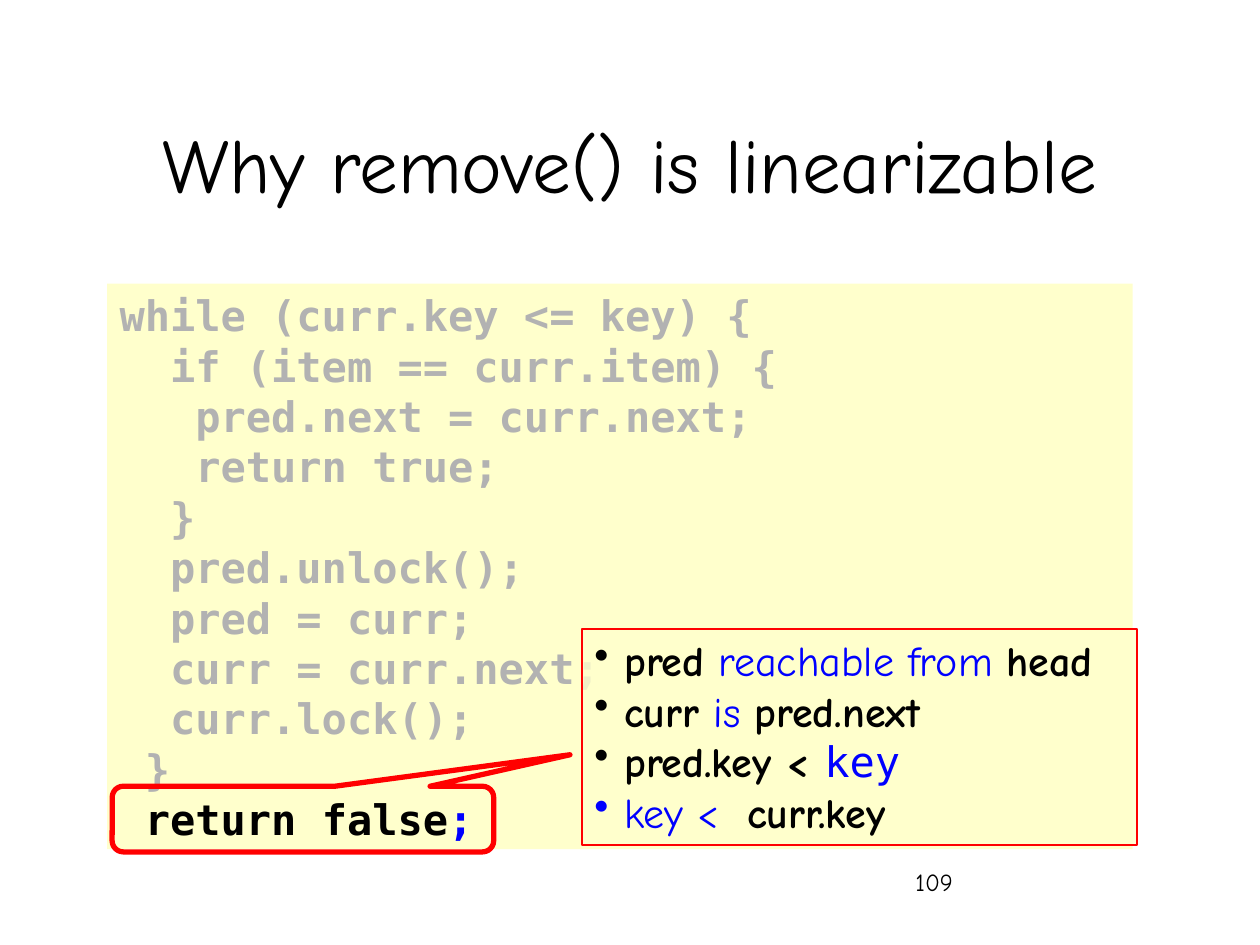
from lxml import etree
from pptx import Presentation
from pptx.dml.color import RGBColor
from pptx.enum.shapes import MSO_SHAPE
from pptx.enum.text import MSO_ANCHOR, PP_ALIGN
from pptx.oxml.ns import qn
from pptx.util import Pt

RECT = MSO_SHAPE.RECTANGLE
CALLOUT = MSO_SHAPE.ROUNDED_RECTANGULAR_CALLOUT
TOP, MIDDLE = MSO_ANCHOR.TOP, MSO_ANCHOR.MIDDLE
LEFT, CENTER = PP_ALIGN.LEFT, PP_ALIGN.CENTER

BLACK = RGBColor(0x00, 0x00, 0x00)
GRAY = RGBColor(0xB2, 0xB2, 0xB2)
BLUE = RGBColor(0x00, 0x00, 0xFF)
RED = RGBColor(0xFF, 0x00, 0x00)
CREAM = RGBColor(0xFF, 0xFF, 0xCC)

HAND = "Comic Neue"
MONO = "DejaVu Sans Mono"
LINE_HEIGHT = 28.8
INDENT = 17

CODE = [
    "while (curr.key <= key) {",
    "  if (item == curr.item) {",
    "   pred.next = curr.next;",
    "   return true;",
    "  }",
    "  pred.unlock();",
    "  pred = curr;",
    "  curr = curr.next;",
    "  curr.lock();",
    " }",
]
RETURN_LINE = [(" ", BLUE), ("return false", BLACK), (";", BLUE)]

# Each fact is a list of (text, is a variable, font)
FACTS = [
    [("pred", True, HAND), (" reachable from ", False, HAND), ("head", True, HAND)],
    [("curr", True, HAND), (" is ", False, HAND), ("pred.next", True, HAND)],
    [("pred.key < ", True, HAND), ("key", False, MONO)],
    [("key <  ", False, HAND), ("curr.key", True, HAND)],
]


def style(font, name, size, color, bold=False):
    font.name, font.size, font.bold = name, Pt(size), bold
    font.color.rgb = color


def add_run(p, text, name, color, bold):
    r = p.add_run()
    r.text = text
    style(r.font, name, 24, color, bold)


def add_box(slide, kind, box, fill=None, line=None, width=1):
    sp = slide.shapes.add_shape(kind, *map(Pt, box))
    sp.shadow.inherit = False
    if fill is None:
        sp.fill.background()
    else:
        sp.fill.solid()
        sp.fill.fore_color.rgb = fill
    if line is None:
        sp.line.fill.background()
    else:
        sp.line.color.rgb = line
        sp.line.width = Pt(width)
    return sp


def add_lines(sp, count):
    """Return count left-aligned paragraphs of equal height."""
    tf = sp.text_frame
    tf.vertical_anchor = TOP
    for _ in range(count - 1):
        tf.add_paragraph()
    for p in tf.paragraphs:
        p.alignment = LEFT
        p.line_spacing = Pt(LINE_HEIGHT)
    return tf.paragraphs


def add_bullet(p):
    pPr = p._p.get_or_add_pPr()
    pPr.set("marL", str(Pt(INDENT)))
    pPr.set("indent", str(-Pt(INDENT)))
    etree.SubElement(pPr, qn("a:buChar")).set("char", "•")


def place_title(slide, box):
    title = slide.shapes.title
    title.left, title.top, title.width, title.height = map(Pt, box)
    tf = title.text_frame
    tf.text = "Why remove() is linearizable"
    tf.vertical_anchor = MIDDLE
    tf.paragraphs[0].alignment = CENTER
    style(tf.paragraphs[0].runs[0].font, HAND, 44, BLACK)


def place_code(slide, box):
    left, top, _, height = box
    sp = add_box(slide, RECT, box, CREAM)
    lines = [[(text, GRAY)] for text in CODE] + [RETURN_LINE]
    for p, parts in zip(add_lines(sp, len(lines)), lines):
        for text, color in parts:
            add_run(p, text, MONO, color, True)

    # Callout around the return line, pointing at the facts
    callout = add_box(slide, CALLOUT, (left + 2.9, top + height - 36, 218, 37.5),
                      line=RED, width=3)
    for i, value in enumerate((0.7, -0.98, 0.17)):
        callout.adjustments[i] = value


def place_facts(slide, box):
    sp = add_box(slide, RECT, box, CREAM, RED)
    color = sp.fill._xPr.find(qn("a:solidFill"))[0]
    etree.SubElement(color, qn("a:alpha")).set("val", "80000")
    sp.text_frame.word_wrap = False
    for p, parts in zip(add_lines(sp, len(FACTS)), FACTS):
        add_bullet(p)
        for text, variable, name in parts:
            add_run(p, text, name, BLACK if variable else BLUE, variable)


def place_page_number(slide, box):
    tf = slide.shapes.add_textbox(*map(Pt, box)).text_frame
    tf.word_wrap = True
    tf.text = "109"
    style(tf.paragraphs[0].runs[0].font, HAND, 14, BLACK)


def main():
    prs = Presentation()
    prs.slide_width, prs.slide_height = Pt(720), Pt(540)
    slide = prs.slides.add_slide(prs.slide_layouts[5])
    place_page_number(slide, (516, 492, 150, 36))
    place_title(slide, (54, 48, 612, 90))
    place_code(slide, (61.2, 162, 586, 323.3))
    place_facts(slide, (332.6, 359.3, 317, 123.4))
    prs.save("out.pptx")


if __name__ == "__main__":
    main()
